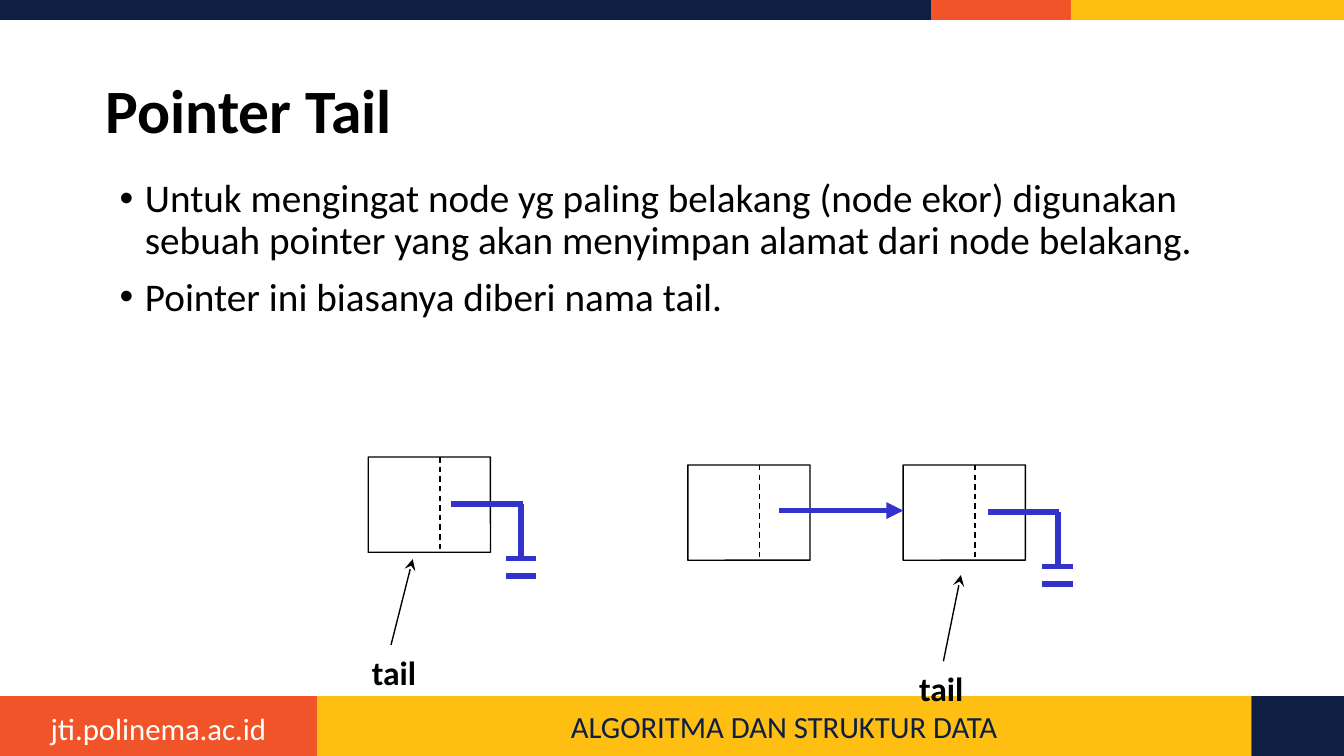
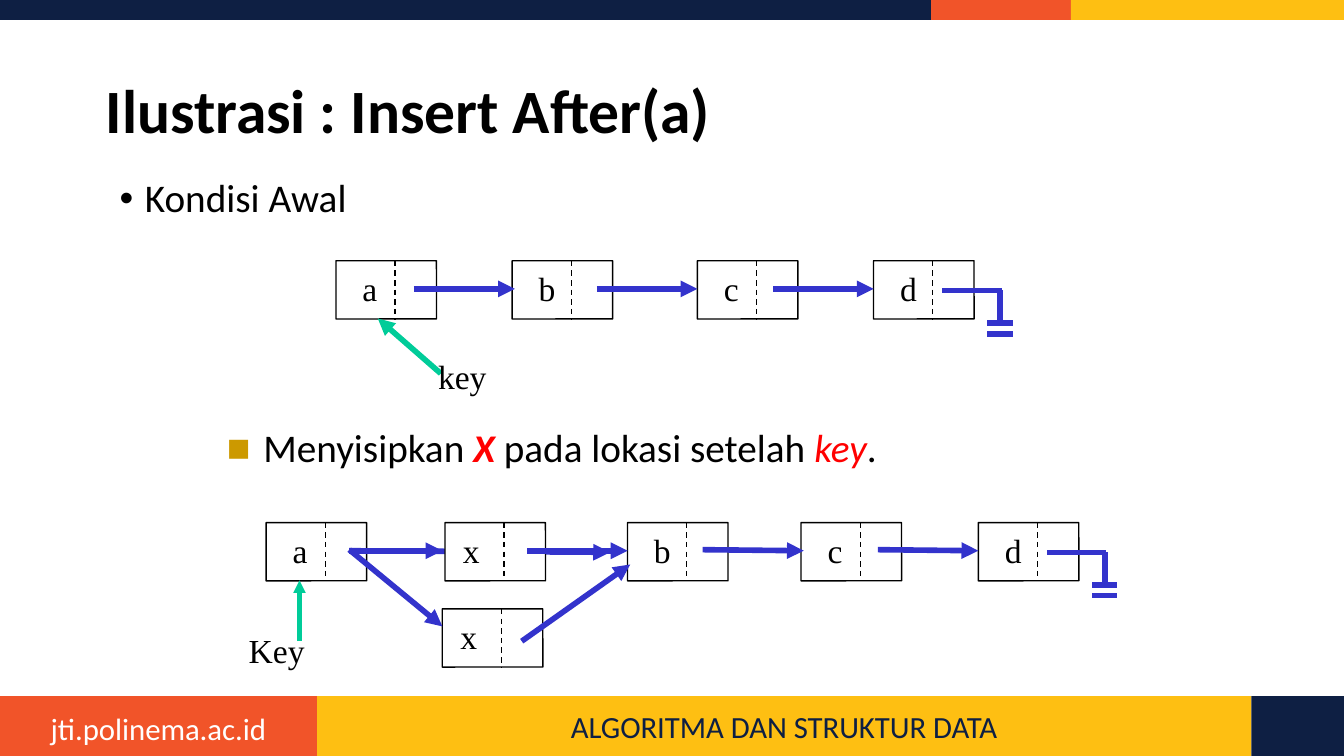
from lxml import etree
from pptx import Presentation
from pptx import util as u
from pptx.dml.color import RGBColor
from pptx.enum import dml, shapes, text
from pptx.oxml.ns import qn

Cm, Pt = u.Cm, u.Pt

NAVY = RGBColor(0x0E, 0x1F, 0x43)
ORANGE = RGBColor(0xF1, 0x54, 0x29)
YELLOW = RGBColor(0xFE, 0xBF, 0x12)
BLACK = RGBColor(0, 0, 0)
WHITE = RGBColor(0xFF, 0xFF, 0xFF)
BLUE = RGBColor(0x33, 0x33, 0xCC)
GREEN = RGBColor(0x00, 0xCC, 0x99)
GOLD = RGBColor(0xCC, 0x99, 0x00)
RED = RGBColor(0xFF, 0, 0)

SANS, SERIF = "Calibri", "Times New Roman"
WIDE, HIGH = 25.4, 14.29
WIDE_PAD, SLIM_PAD = (0.25, 0.13), (0.18, 0.1)

# Shared content: bands as (left, right, colour)
TOP = [(0, 17.6, NAVY), (17.6, 20.24, ORANGE), (20.24, WIDE, YELLOW)]
FOOT = [(5.99, 23.65, YELLOW), (0, 5.99, ORANGE), (23.65, WIDE, NAVY)]
COURSE, SITE = "ALGORITMA DAN STRUKTUR DATA", "jti.polinema.ac.id"

# Node sizes, and the run, drop, half bar and gap of the null sign
BIG, SMALL = (2.31, 1.8), (1.9, 1.1)
SPLIT = 0.588
BIG_END, SMALL_END = (1.32, 1.03, 0.29, 0.33), (1.09, 0.62, 0.24, 0.2)

# Slide 1 content
TAIL_TITLE = "Pointer Tail"
TAIL_TEXT = [
    ["Untuk mengingat node yg paling belakang (node ekor) digunakan "
     "sebuah pointer yang akan menyimpan alamat dari node belakang."],
    ["Pointer ini biasanya diberi nama tail."],
]
TAIL_NODES = [(13, 8.79), (17.07, 8.79), (6.96, 8.64)]
TAIL_LINK = (14.73, 9.65, 17.07, 9.65)
TAIL_ENDS = [(18.67, 9.68), (8.53, 9.53)]
TAIL_MARKS = [  # label place, arrow
    ((6.78, 12.19), (7.39, 12.19, 7.8, 10.57)),
    ((17.12, 12.5), (17.83, 12.5, 18.16, 10.87)),
]

# Slide 2 content: each step has nodes (name, left, top), then links
INS_TITLE = "Ilustrasi : Insert After(a)"
INS_TEXT = [["Kondisi Awal"]]
INS_NOTE = [[
    "Menyisipkan ", ("X", dict(color=RED, bold=True, italic=True)),
    " pada lokasi setelah ", ("key", dict(color=RED, italic=True)), ".",
]]
ROW1, ROW2 = 4.93, 9.88
STEPS = [
    ([("a", 6.35, ROW1), ("b", 9.68, ROW1), ("c", 13.18, ROW1),
      ("d", 16.51, ROW1)],
     [(7.82, 5.46, 9.73, 5.46), (11.28, 5.46, 13.18, 5.46),
      (14.61, 5.46, 16.51, 5.46)]),
    ([("a", 5.03, ROW2)],
     [(6.6, 10.41, 8.36, 10.41), (6.6, 10.41, 11.53, 10.44)]),
    ([("x", 8.41, ROW2), ("b", 11.86, ROW2), ("c", 15.14, ROW2),
      ("d", 18.49, ROW2), ("x", 8.36, 11.51)],
     [(9.96, 10.41, 11.86, 10.41), (13.28, 10.39, 15.19, 10.41),
      (16.59, 10.39, 18.49, 10.41), (6.6, 10.39, 8.36, 11.84),
      (9.86, 12.12, 11.91, 10.67)]),
]
INS_ENDS = [(17.81, 5.49), (19.79, 10.44)]
INS_MARKS = [  # label, place, arrow, arrow width
    ("key", (8.1, 6.68), (8.33, 7.06, 7.14, 6.02), 3),
    ("Key", (4.52, 11.86), (5.66, 12.12, 5.66, 10.97), 2.25),
]


def say(shape, paras, size=18, font=SANS, color=BLACK, bold=False,
        align="LEFT", anchor="TOP", pad=WIDE_PAD, left=None, space=None,
        before=0, wrap=True, bullet=None):
    """Write paragraphs; a run is a string or (string, own format)."""
    frame = shape.text_frame
    frame.auto_size = text.MSO_AUTO_SIZE.NONE
    frame.word_wrap = wrap
    frame.vertical_anchor = getattr(text.MSO_ANCHOR, anchor)
    frame.margin_left = Cm(pad[0] if left is None else left)
    frame.margin_right = Cm(pad[0])
    frame.margin_top = frame.margin_bottom = Cm(pad[1])
    for i, runs in enumerate(paras):
        para = frame.add_paragraph() if i else frame.paragraphs[0]
        para.alignment = getattr(text.PP_ALIGN, align)
        para.line_spacing = space
        para.space_before = Pt(before if i else 0)
        for item in runs:
            word, own = (item, {}) if isinstance(item, str) else item
            run = para.add_run()
            run.text = word
            run.font.name = font
            run.font.size = Pt(size)
            run.font.bold = own.get("bold", bold)
            run.font.italic = own.get("italic", False)
            run.font.color.rgb = own.get("color", color)
        if bullet:
            mark(para, *bullet)


def mark(para, char, color, indent):
    """Give a paragraph a coloured bullet with a hanging indent."""
    props = para._p.get_or_add_pPr()
    props.set("marL", str(Cm(indent)))
    props.set("indent", str(-Cm(indent)))
    tint = etree.SubElement(props, qn("a:buClr"))
    etree.SubElement(tint, qn("a:srgbClr"), val=str(color))
    etree.SubElement(props, qn("a:buFont"), typeface="Arial")
    etree.SubElement(props, qn("a:buChar"), char=char)


def label(slide, box, paras, **form):
    shape = slide.shapes.add_textbox(*map(Cm, box))
    say(shape, paras, **form)


def block(slide, box, fill, kind="RECTANGLE", edge=None):
    shape = slide.shapes.add_shape(
        getattr(shapes.MSO_SHAPE, kind), *map(Cm, box))
    shape.shadow.inherit = False
    shape.fill.solid()
    shape.fill.fore_color.rgb = fill
    if edge is None:
        shape.line.fill.background()
    else:
        shape.line.color.rgb = edge
        shape.line.width = Pt(0.75)
    return shape


def line(slide, ends, color=BLUE, width=3, head=None, dash=False):
    conn = slide.shapes.add_connector(
        shapes.MSO_CONNECTOR.STRAIGHT, *map(Cm, ends))
    conn.line.color.rgb = color
    conn.line.width = Pt(width)
    if dash:
        conn.line.dash_style = dml.MSO_LINE.DASH
    if head:
        etree.SubElement(conn.line._get_or_add_ln(), qn("a:tailEnd"), type=head)
    etree.SubElement(conn._element.spPr, qn("a:effectLst"))


def node(slide, x, y, size, name=None):
    """Draw a list node: data on the left, pointer on the right."""
    w, h = size
    shape = block(slide, (x, y, w, h), WHITE, "ROUNDED_RECTANGLE", BLACK)
    shape.adjustments[0] = 0.003
    if name:
        say(shape, [[name]], font=SERIF, anchor="MIDDLE", pad=SLIM_PAD,
            left=0.34 if name == "x" else 0.5, space=0.95)
    mid = x + w * SPLIT
    line(slide, (mid, y, mid, y + h), BLACK, 0.75, dash=True)


def null(slide, x, y, size):
    """Draw the null sign that closes a list."""
    run, drop, half, gap = size
    mid, low = x + run, y + drop
    line(slide, (x, y, mid + 0.03, y))
    line(slide, (mid, y, mid, low))
    for bar in (low, low + gap):
        line(slide, (mid - half, bar, mid + half, bar))


def start(deck, title, paras):
    """Add a slide with bands, footer, title and bullet text."""
    slide = deck.slides.add_slide(deck.slide_layouts[5])
    for bands, top, high in ((TOP, 0, 0.38), (FOOT, 13.16, 1.13)):
        for left, right, color in bands:
            shape = block(slide, (left, top, right - left, high), color)
            if bands is FOOT and color == YELLOW:
                say(shape, [[COURSE]], size=16.5, color=NAVY,
                    align="CENTER", anchor="MIDDLE")
    label(slide, (0, 13.28, 5.99, 0.97), [[SITE]], size=16.5, color=WHITE,
          align="CENTER")
    head = slide.shapes.title
    head.left, head.top, head.width, head.height = map(
        Cm, (1.75, 0.76, 21.89, 2.77))
    say(head, [[title]], size=33, bold=True, anchor="MIDDLE", space=0.9)
    label(slide, (2.01, 3.25, 21.41, 9.58), paras, size=21, space=0.9,
          before=7.5, bullet=("•", BLACK, 0.48))
    return slide


def tail(deck):
    slide = start(deck, TAIL_TITLE, TAIL_TEXT)
    for x, y in TAIL_NODES:
        node(slide, x, y, BIG)
    line(slide, TAIL_LINK, head="triangle")
    for x, y in TAIL_ENDS:
        null(slide, x, y, BIG_END)
    for place, ends in TAIL_MARKS:
        label(slide, (*place, 1.45, 1.02), [["tail"]], bold=True, wrap=False)
        line(slide, ends, BLACK, 0.75, head="stealth")


def insert(deck):
    slide = start(deck, INS_TITLE, INS_TEXT)
    label(slide, (4.11, 7.98, 17.37, 1.27), INS_NOTE, size=21, pad=SLIM_PAD,
          space=0.93, bullet=("■", GOLD, 0.69))
    for nodes, links in STEPS:
        for name, x, y in nodes:
            node(slide, x, y, SMALL, name)
        for ends in links:
            line(slide, ends, head="triangle")
    for x, y in INS_ENDS:
        null(slide, x, y, SMALL_END)
    for word, place, ends, width in INS_MARKS:
        line(slide, ends, GREEN, width, head="triangle")
        label(slide, (*place, 1.45, 0.94), [[word]], font=SERIF,
              pad=SLIM_PAD, space=0.95, wrap=False)


def main():
    deck = Presentation()
    deck.slide_width, deck.slide_height = Cm(WIDE), Cm(HIGH)
    tail(deck)
    insert(deck)
    deck.save("out.pptx")


if __name__ == "__main__":
    main()
